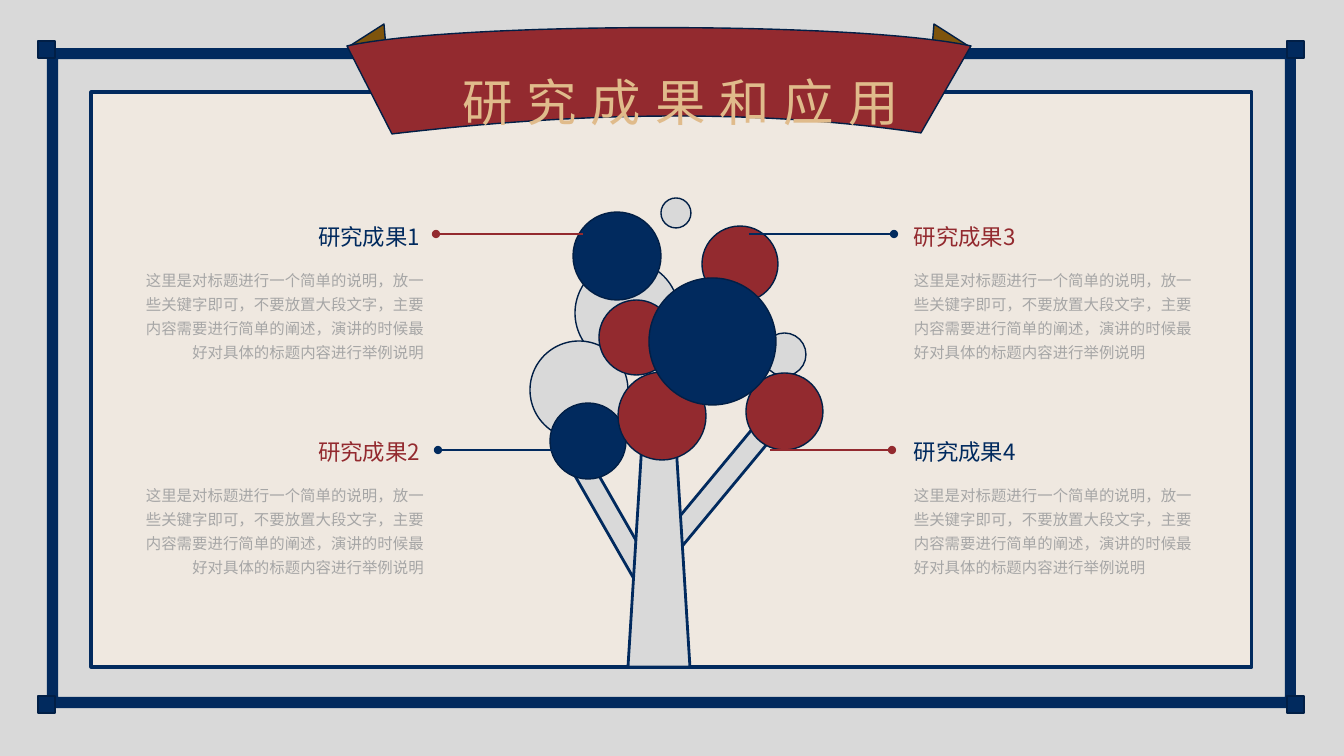
"""Build a slide presenting four research results around a tree of circles."""
import pptx
import pptx.dml.color
import pptx.enum.shapes
import pptx.enum.text
import pptx.oxml.ns
import pptx.util
from lxml import etree

RGB = pptx.dml.color.RGBColor
SHAPE = pptx.enum.shapes.MSO_SHAPE
ALIGN = pptx.enum.text.PP_ALIGN
NAVY = RGB(0x01, 0x2A, 0x5E)
OUTLINE = RGB(0x01, 0x1F, 0x46)
RED = RGB(0x93, 0x2A, 0x2F)
GREY = RGB(0xD9, 0xD9, 0xD9)
CREAM = RGB(0xEF, 0xE8, 0xE0)
BROWN = RGB(0x7E, 0x54, 0x0C)
GOLD = RGB(0xE0, 0xBB, 0x8B)
BODY_GREY = RGB(0xA6, 0xA6, 0xA6)
FONT = "Noto Sans CJK SC"
PX = 914400 / 100.8
SLIDE = (1344, 756)

TITLE = "研究成果和应用"
EXPLANATION = (
    "这里是对标题进行一个简单的说明，放一些关键字即可，不要放置大段文字，"
    "主要内容需要进行简单的阐述，演讲的时候最好对具体的标题内容进行举例说明"
)
RESULTS = [
    ("研究成果1", NAVY, "left", 0),
    ("研究成果2", RED, "left", 1),
    ("研究成果3", RED, "right", 0),
    ("研究成果4", NAVY, "right", 1),
]
SIDES = {
    "left": (293, 134, ALIGN.RIGHT),
    "right": (904, 904, ALIGN.LEFT),
}
HEADING_TOP, BODY_TOP, ROW_PITCH = 218, 261, 215
LEADERS = [
    (770, 892, 450, RED),
    (749, 894, 234, NAVY),
    (561, 438, 450, NAVY),
    (583, 436, 234, RED),
]
BRANCHES = [(611, 455, 330.2), (704, 410, 39.7)]
CIRCLES = [
    (763, 333, 43, GREY),
    (575, 261, 104, GREY),
    (702, 226, 76, RED),
    (573, 212, 88, NAVY),
    (530, 341, 98, GREY),
    (550, 403, 76, NAVY),
    (599, 300, 75, RED),
    (618, 372, 88, RED),
    (746, 373, 77, RED),
    (661, 198, 30, GREY),
    (649, 278, 127, NAVY),
]
RIBBON_EARS = [
    [(348, 47), (384, 24), (387, 60)],
    [(970, 47), (934, 24), (931, 60)],
]
RIBBON_BOTTOM = [(392, 134), (520, 119), (720, 103), (921, 133)]
RIBBON_TOP = [(971, 46), (856, 21), (454, 22), (347, 46)]


def px(value):
    return round(value * PX)


def paint(shape, fill, line, width):
    shape.shadow.inherit = False
    shape.fill.solid()
    shape.fill.fore_color.rgb = fill
    if line is None:
        shape.line.fill.background()
    else:
        shape.line.color.rgb = line
        shape.line.width = pptx.util.Pt(width)


def add_block(page, kind, place, fill, line=None, width=1):
    shape = page.shapes.add_shape(kind, *map(px, place))
    paint(shape, fill, line, width)
    return shape


def add_outline(page, points, fill):
    corners = [(px(x), px(y)) for x, y in points]
    builder = page.shapes.build_freeform(*corners[0], scale=1.0)
    builder.add_line_segments(corners[1:], close=True)
    paint(builder.convert_to_shape(), fill, OUTLINE, 1)


def curve(controls, steps=32):
    points = []
    for step in range(steps + 1):
        t = step / steps
        weights = ((1 - t) ** 3, 3 * t * (1 - t) ** 2, 3 * t * t * (1 - t), t ** 3)
        points.append(tuple(sum(w * c for w, c in zip(weights, axis)) for axis in zip(*controls)))
    return points


def add_text(page, place, text, size, color, align, line_spacing=None, tracking=None):
    box = page.shapes.add_textbox(*map(px, place))
    box.text_frame.word_wrap = True
    box.text_frame.auto_size = pptx.enum.text.MSO_AUTO_SIZE.SHAPE_TO_FIT_TEXT
    para = box.text_frame.paragraphs[0]
    para.alignment = align
    if line_spacing:
        para.line_spacing = line_spacing
    span = para.add_run()
    span.text = text
    span.font.size = pptx.util.Pt(size)
    span.font.color.rgb = color
    span.font.name = FONT
    properties = span.font._element
    etree.SubElement(properties, pptx.oxml.ns.qn("a:ea"), typeface=FONT)
    if tracking:
        properties.set("spc", str(tracking * 100))


def add_leader(page, start, end, y, color):
    leader = page.shapes.add_connector(
        pptx.enum.shapes.MSO_CONNECTOR.STRAIGHT, px(start), px(y), px(end), px(y)
    )
    leader.line.color.rgb = color
    leader.line.width = pptx.util.Pt(1)
    etree.SubElement(leader.line._get_or_add_ln(), pptx.oxml.ns.qn("a:tailEnd"), type="oval")
    etree.SubElement(leader._element.spPr, pptx.oxml.ns.qn("a:effectLst"))


def draw_frame(page):
    page.background.fill.solid()
    page.background.fill.fore_color.rgb = RED
    add_block(page, SHAPE.RECTANGLE, (0, 0, *SLIDE), GREY)
    border = add_block(page, SHAPE.FRAME, (47, 48, 1249, 660), NAVY)
    border.adjustments[0] = 0.017
    for x in (38, 1287):
        for y in (41, 696):
            add_block(page, SHAPE.RECTANGLE, (x, y, 17, 17), NAVY, OUTLINE)
    add_block(page, SHAPE.RECTANGLE, (91, 92, 1161, 575), CREAM, NAVY, 2.25)


def draw_ribbon(page):
    for ear in RIBBON_EARS:
        add_outline(page, ear, BROWN)
    add_outline(page, curve(RIBBON_BOTTOM) + curve(RIBBON_TOP), RED)
    add_text(page, (260, 66, 841, 69), TITLE, 36, GOLD, ALIGN.CENTER, tracking=10)


def draw_tree(page):
    for x, y, angle in BRANCHES:
        branch = add_block(page, SHAPE.RECTANGLE, (x, y, 21, 162), GREY, NAVY, 2)
        branch.rotation = angle
    add_block(page, SHAPE.TRAPEZOID, (628, 419, 62, 248), GREY, NAVY, 2)
    for x, y, diameter, color in CIRCLES:
        add_block(page, SHAPE.OVAL, (x, y, diameter, diameter), color, OUTLINE)


def draw_results(page):
    for heading, color, side, row in RESULTS:
        heading_x, body_x, align = SIDES[side]
        drop = row * ROW_PITCH
        add_text(page, (heading_x, HEADING_TOP + drop, 137, 37), heading, 16, color, align)
        add_text(page, (body_x, BODY_TOP + drop, 300, 105), EXPLANATION, 11, BODY_GREY, align, 1.3)
    for leader in LEADERS:
        add_leader(page, *leader)


def main():
    deck = pptx.Presentation()
    deck.slide_width, deck.slide_height = map(px, SLIDE)
    page = deck.slides.add_slide(deck.slide_layouts[6])
    draw_frame(page)
    draw_ribbon(page)
    draw_tree(page)
    draw_results(page)
    deck.save("out.pptx")


if __name__ == "__main__":
    main()
